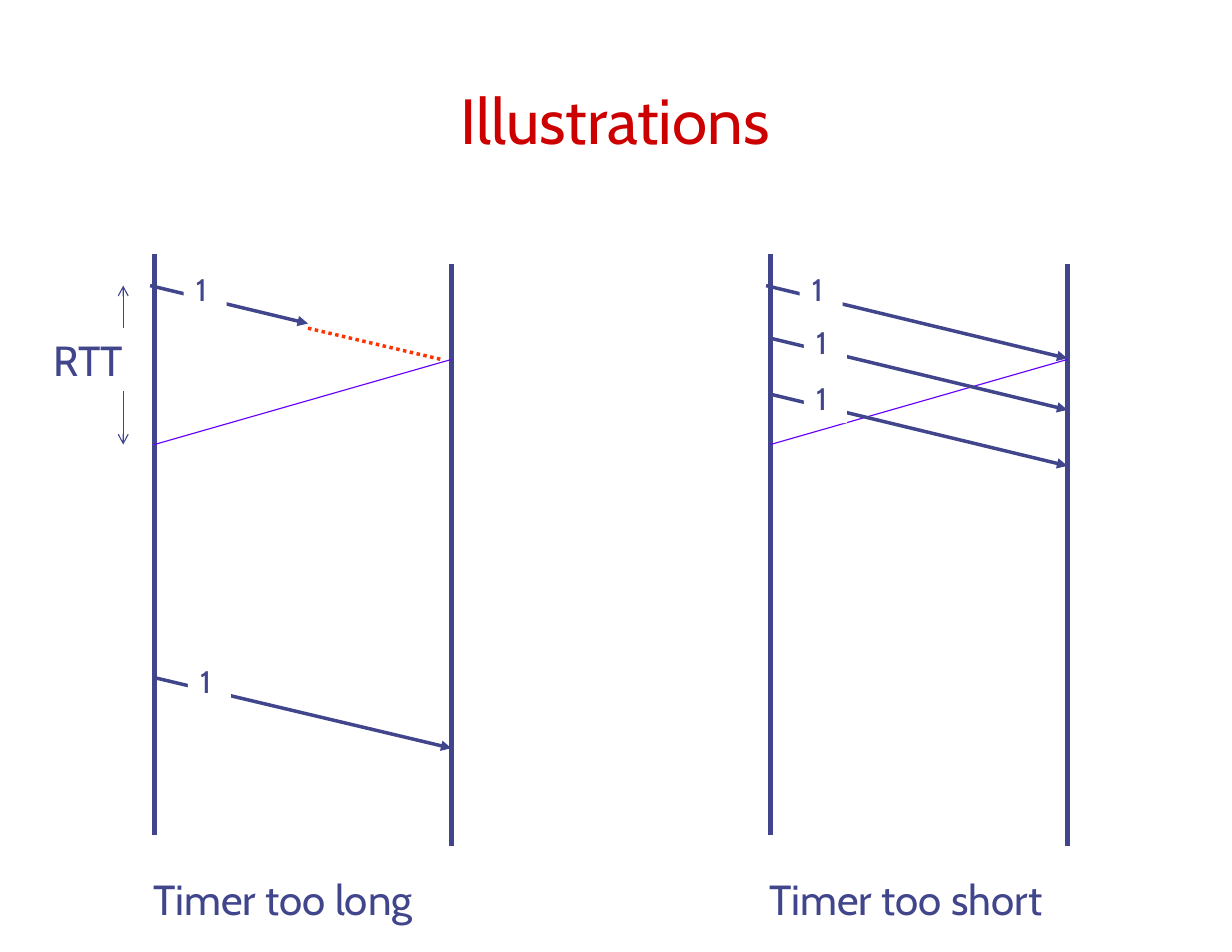
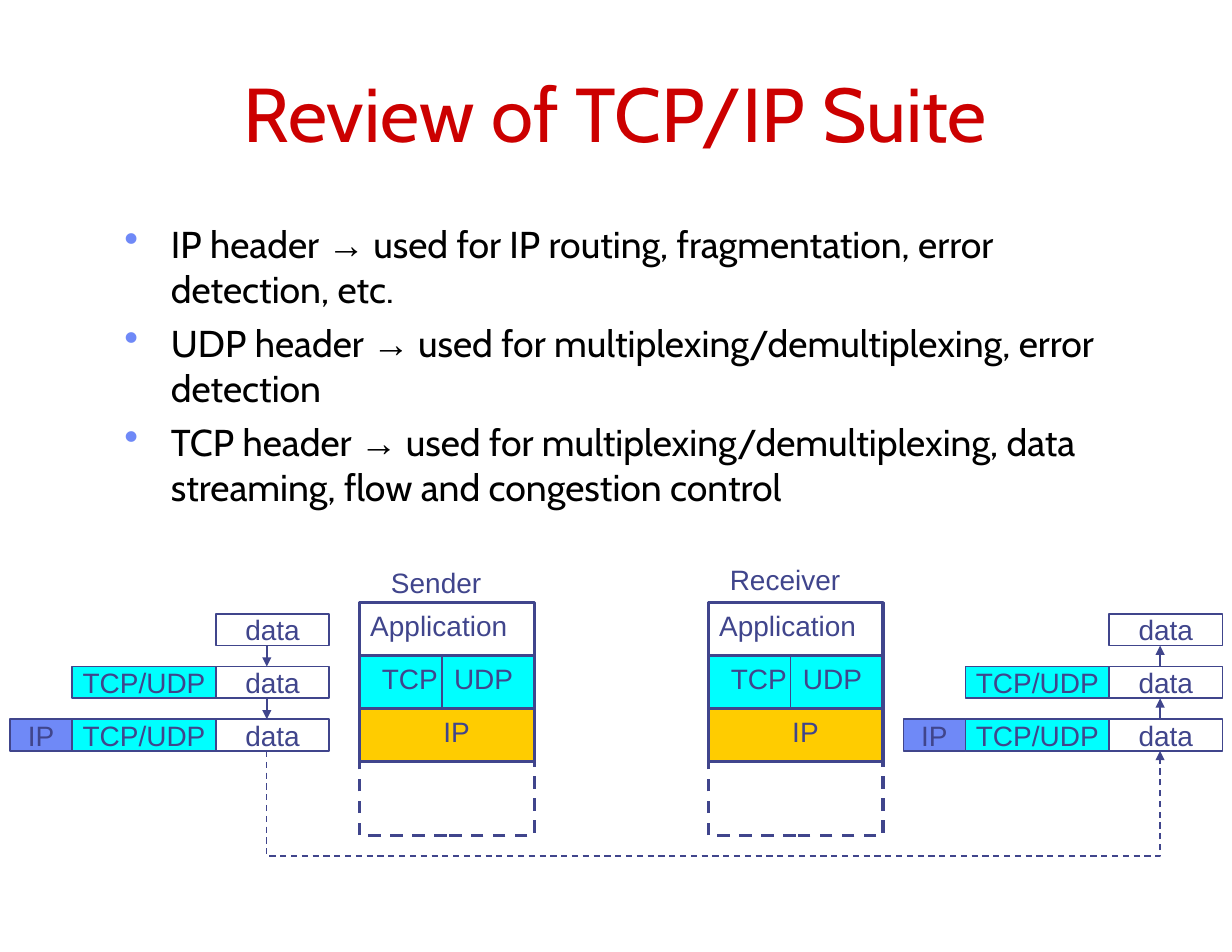
"""Build two slides on TCP retransmission timers and the TCP/IP suite."""
from pptx import Presentation
from pptx.dml.color import RGBColor
from pptx.enum.dml import MSO_LINE
from pptx.enum.shapes import MSO_CONNECTOR, MSO_SHAPE
from pptx.enum.text import MSO_ANCHOR, MSO_AUTO_SIZE, PP_ALIGN
from pptx.oxml.ns import qn
from pptx.oxml.xmlchemy import OxmlElement
from pptx.util import Pt

NAVY = RGBColor(0x40, 0x45, 0x8C)
RED = RGBColor(0xCC, 0x00, 0x00)
ORANGE = RGBColor(0xFF, 0x33, 0x00)
VIOLET = RGBColor(0x66, 0x00, 0xFF)
PERIWINKLE = RGBColor(0x6F, 0x89, 0xF7)
CYAN = RGBColor(0x00, 0xFF, 0xFF)
GOLD = RGBColor(0xFF, 0xCC, 0x00)
WHITE = RGBColor(0xFF, 0xFF, 0xFF)
BLACK = RGBColor(0x00, 0x00, 0x00)
TITLE_FONT = "Cabin"
DIAGRAM_FONT = "Arial"


def add_line(slide, points, width, color=NAVY, dash=None, head=None, tail=None):
    points = [(Pt(x), Pt(y)) for x, y in points]
    if len(points) == 2:
        line = slide.shapes.add_connector(MSO_CONNECTOR.STRAIGHT, *points[0], *points[1])
    else:
        builder = slide.shapes.build_freeform(*points[0])
        builder.add_line_segments(points[1:], close=False)
        line = builder.convert_to_shape()
        line.fill.background()
    line.line.color.rgb = color
    line.line.width = Pt(width)
    if dash:
        line.line.dash_style = dash
    properties = line._element.spPr
    for tag, arrow in (("a:headEnd", head), ("a:tailEnd", tail)):
        if arrow:
            end = OxmlElement(tag)
            end.set("type", arrow)
            properties.find(qn("a:ln")).append(end)
    properties.append(OxmlElement("a:effectLst"))


def add_box(slide, left, top, width, height, text="", font=DIAGRAM_FONT, size=18, fill=None,
            border=0, dash=None, align=PP_ALIGN.LEFT, anchor=MSO_ANCHOR.TOP, inset=7.9):
    box = slide.shapes.add_shape(MSO_SHAPE.RECTANGLE, Pt(left), Pt(top), Pt(width), Pt(height))
    box.shadow.inherit = False
    if fill is None:
        box.fill.background()
    else:
        box.fill.solid()
        box.fill.fore_color.rgb = fill
    if border:
        box.line.color.rgb = NAVY
        box.line.width = Pt(border)
        if dash:
            box.line.dash_style = dash
    else:
        box.line.fill.background()
    if text:
        frame = box.text_frame
        frame.word_wrap = True
        frame.vertical_anchor = anchor
        frame.margin_left = Pt(inset if align == PP_ALIGN.LEFT else 0)
        frame.margin_right = frame.margin_bottom = 0
        frame.margin_top = Pt(4 if anchor == MSO_ANCHOR.TOP else 0)
        paragraph = frame.paragraphs[0]
        paragraph.alignment = align
        run = paragraph.add_run()
        run.text = text
        run.font.name = font
        run.font.size = Pt(size)
        run.font.color.rgb = NAVY


presentation = Presentation()
presentation.slide_width = Pt(792)
presentation.slide_height = Pt(612)

slides = []
for title_text, title_size in (("Illustrations", 41), ("Review of TCP/IP Suite", 49)):
    slide = presentation.slides.add_slide(presentation.slide_layouts[5])
    title = slide.shapes.title
    title.left, title.top, title.width, title.height = Pt(59), Pt(41.8), Pt(673), Pt(63.4)
    frame = title.text_frame
    frame.auto_size = MSO_AUTO_SIZE.NONE
    frame.word_wrap = True
    frame.vertical_anchor = MSO_ANCHOR.BOTTOM
    frame.margin_top = frame.margin_bottom = Pt(4)
    paragraph = frame.paragraphs[0]
    paragraph.alignment = PP_ALIGN.CENTER
    run = paragraph.add_run()
    run.text = title_text
    run.font.name = TITLE_FONT
    run.font.size = Pt(title_size)
    run.font.color.rgb = RED
    slides.append(slide)
timer_slide, suite_slide = slides

SENDER_X, RECEIVER_X = 99.2, 290.2
TIMELINES = [
    (0, "Timer too long", [((96.5, 183.6), (198, 208)), ((99.2, 435.6), (290.2, 481))]),
    (396, "Timer too short", [((96.5, 183.6), (290.2, 230.4)), ((99.2, 217.4), (290.2, 263.5)),
                              ((99.2, 253.4), (290.2, 299.5))]),
]
for offset, caption, segments in TIMELINES:
    sender, receiver = offset + SENDER_X, offset + RECEIVER_X
    add_line(timer_slide, [(sender, 163.4), (sender, 537.1)], 3)
    add_line(timer_slide, [(receiver, 170), (receiver, 544)], 3)
    add_line(timer_slide, [(receiver, 231.1), (sender, 285.8)], 0.75, VIOLET)
    for (start_x, start_y), (end_x, end_y) in segments:
        add_line(timer_slide, [(offset + start_x, start_y), (offset + end_x, end_y)], 2.25,
                 tail="triangle")
        add_box(timer_slide, offset + start_x + 21.6, start_y - 13.7, 27.6, 32.4, "1",
                TITLE_FONT, 20, WHITE)
    add_box(timer_slide, offset + 90.7, 557.3, 208, 40.3, caption, TITLE_FONT, 27)

add_line(timer_slide, [(198, 211), (283.7, 231.1)], 2.25, ORANGE, MSO_LINE.ROUND_DOT)
add_line(timer_slide, [(79.2, 183.6), (79.2, 285.8)], 0.75, head="arrow", tail="arrow")
add_box(timer_slide, 26.6, 211, 62.6, 40.3, "RTT", TITLE_FONT, 27, WHITE)

HEADER_USES = [
    ("IP", "IP routing, fragmentation, error detection, etc."),
    ("UDP", "multiplexing/demultiplexing, error detection"),
    ("TCP", "multiplexing/demultiplexing, data streaming, flow and congestion control"),
]
body = suite_slide.shapes.add_textbox(Pt(72), Pt(138.2), Pt(673), Pt(210))
frame = body.text_frame
frame.word_wrap = True
frame.margin_left = frame.margin_right = Pt(7.9)
frame.margin_top = frame.margin_bottom = Pt(4.3)
for index, (protocol, use) in enumerate(HEADER_USES):
    paragraph = frame.add_paragraph() if index else frame.paragraphs[0]
    properties = paragraph._p.get_or_add_pPr()
    properties.set("marL", str(Pt(30)))
    properties.set("indent", str(-Pt(30)))
    bullet_color = OxmlElement("a:buClr")
    color_value = OxmlElement("a:srgbClr")
    color_value.set("val", str(PERIWINKLE))
    bullet_color.append(color_value)
    bullet_size = OxmlElement("a:buSzPct")
    bullet_size.set("val", "110000")
    bullet = OxmlElement("a:buChar")
    bullet.set("char", "•")
    for element in (bullet_color, bullet_size, bullet):
        properties.append(element)
    if index:
        paragraph.space_before = Pt(6)
    for text, font in ((f"{protocol} header ", TITLE_FONT), ("→", DIAGRAM_FONT),
                       (f" used for {use}", TITLE_FONT)):
        run = paragraph.add_run()
        run.text = text
        run.font.name = font
        run.font.size = Pt(24)
        run.font.color.rgb = BLACK

STACK_TOP, STACK_WIDTH, LAYER_HEIGHT = 387.4, 112.4, 34.1
LAYERS = [("Application", None, 7), ("TCP", CYAN, 14.5), ("IP", GOLD, 54)]
for host, stack_left, host_top in (("Sender", 231, 359.3), ("Receiver", 455.3, 357.8)):
    add_box(suite_slide, stack_left + 5.4, host_top, 88, 29.5, host, align=PP_ALIGN.CENTER)
    for level, (layer, fill, inset) in enumerate(LAYERS):
        add_box(suite_slide, stack_left, STACK_TOP + level * LAYER_HEIGHT, STACK_WIDTH,
                LAYER_HEIGHT, layer, fill=fill, border=2, inset=inset)
    add_box(suite_slide, stack_left, STACK_TOP + 3 * LAYER_HEIGHT, STACK_WIDTH, 47.4,
            border=2, dash=MSO_LINE.DASH)
    transport_top = STACK_TOP + LAYER_HEIGHT
    divider = stack_left + 53
    add_box(suite_slide, divider, transport_top, 58, 29.5, "UDP")
    add_line(suite_slide, [(divider, transport_top), (divider, transport_top + LAYER_HEIGHT)], 1)

PACKET_TOP, PACKET_PITCH, PACKET_HEIGHT = 394.6, 33.9, 20.4
PACKET_PARTS = [("data", 138.8, 72.8, None), ("TCP/UDP", 46.4, 92.4, CYAN),
                ("IP", 6.5, 39.9, PERIWINKLE)]
FLOW_X, RECEIVER_OFFSET = 171.5, 574.3
for offset, head, tail in ((0, None, "triangle"), (RECEIVER_OFFSET, "triangle", None)):
    for row in range(len(PACKET_PARTS)):
        top = PACKET_TOP + row * PACKET_PITCH
        for text, left, width, fill in PACKET_PARTS[:row + 1]:
            add_box(suite_slide, offset + left, top, width, PACKET_HEIGHT, text, fill=fill,
                    border=1, align=PP_ALIGN.CENTER, anchor=MSO_ANCHOR.MIDDLE)
        if row:
            above = top - PACKET_PITCH + PACKET_HEIGHT
            add_line(suite_slide, [(offset + FLOW_X, above), (offset + FLOW_X, top)], 1,
                     head=head, tail=tail)

link_top = PACKET_TOP + 2 * PACKET_PITCH + PACKET_HEIGHT
link_bottom = 550.5
link_end = FLOW_X + RECEIVER_OFFSET
add_line(suite_slide, [(FLOW_X, link_top), (FLOW_X, link_bottom), (link_end, link_bottom),
                       (link_end, link_top)], 1, dash=MSO_LINE.DASH, tail="triangle")

presentation.save("out.pptx")
